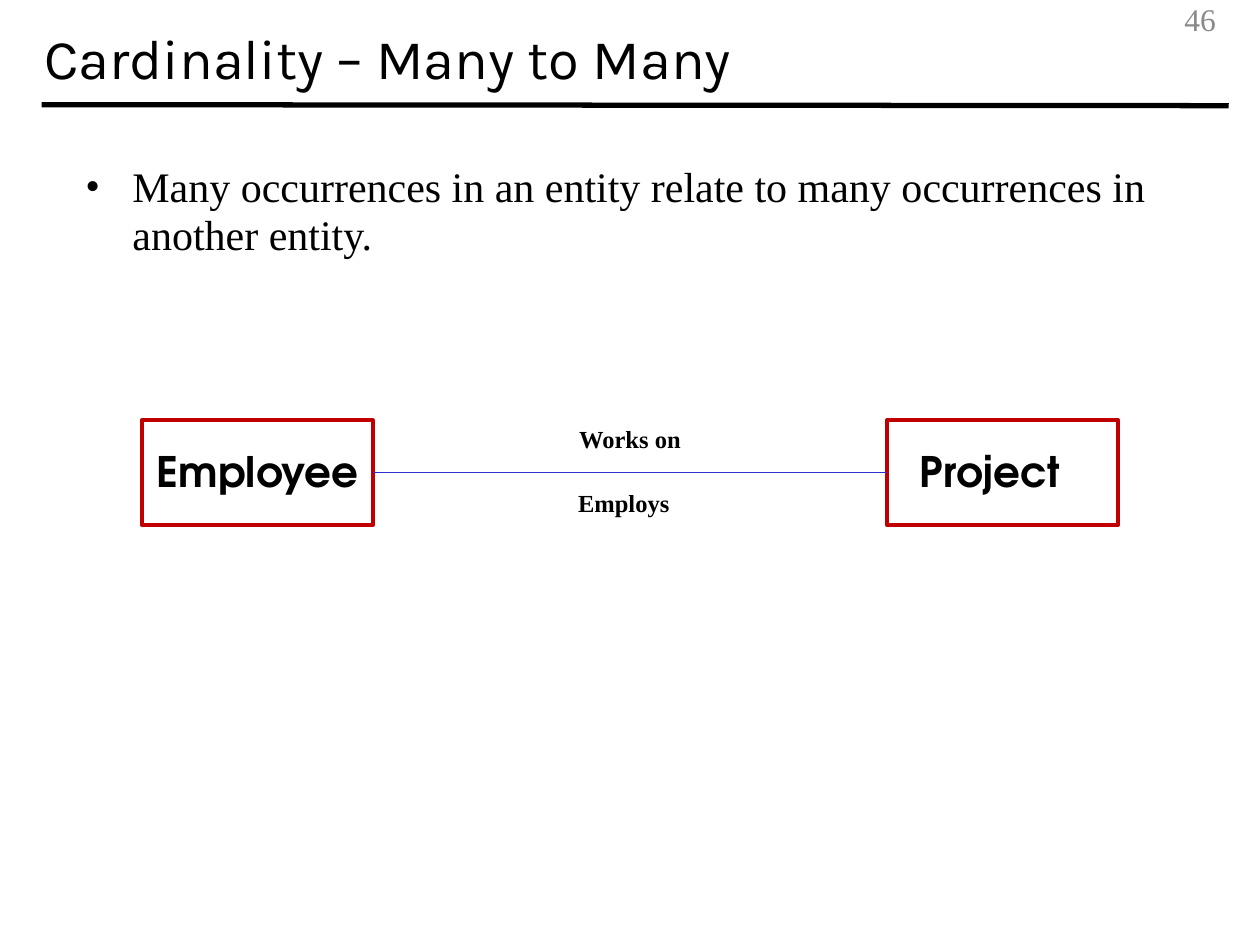
from dataclasses import dataclass

from lxml import etree
from pptx import Presentation
from pptx.dml.color import RGBColor
from pptx.enum.shapes import MSO_CONNECTOR, MSO_SHAPE
from pptx.enum.text import MSO_ANCHOR, PP_ALIGN
from pptx.oxml.ns import qn
from pptx.util import Cm, Pt

LEFT, CENTER, RIGHT = PP_ALIGN.LEFT, PP_ALIGN.CENTER, PP_ALIGN.RIGHT
TOP, MIDDLE = MSO_ANCHOR.TOP, MSO_ANCHOR.MIDDLE
STRAIGHT, RECTANGLE = MSO_CONNECTOR.STRAIGHT, MSO_SHAPE.RECTANGLE
SIDE_LEFT, SIDE_RIGHT = 1, 3


@dataclass(frozen=True)
class Theme:
    ink: str = "000000"
    paper: str = "FFFFFF"
    muted: str = "898989"
    entity_border: str = "C00000"
    relation: str = "2E2ECB"
    title_font: str = "Karla"
    body_font: str = "Times New Roman"
    entity_font: str = "TeX Gyre Adventor"
    title_size: int = 32
    body_size: int = 24
    number_size: int = 18
    label_size: int = 14


def add_bullet(paragraph, color, font, indent):
    props = paragraph._p.get_or_add_pPr()
    props.set("marL", str(indent))
    props.set("indent", str(-indent))
    bullet_color = etree.SubElement(props, qn("a:buClr"))
    etree.SubElement(bullet_color, qn("a:srgbClr"), val=color)
    etree.SubElement(props, qn("a:buFont"), typeface=font)
    etree.SubElement(props, qn("a:buChar"), char="•")


def write(shape, text, *, size, font, color, bold=False, align=LEFT,
          anchor=TOP, spacing=0.95, right_pad=0.25, bullet_indent=None):
    frame = shape.text_frame
    frame.word_wrap = True
    frame.vertical_anchor = anchor
    frame.margin_left, frame.margin_right = Cm(0.25), Cm(right_pad)
    frame.margin_top = frame.margin_bottom = Cm(0.13)
    paragraph = frame.paragraphs[0]
    if bullet_indent is not None:
        add_bullet(paragraph, color, font, Cm(bullet_indent))
    paragraph.alignment = align
    paragraph.line_spacing = spacing
    run = paragraph.add_run()
    run.text = text
    run.font.size, run.font.name, run.font.bold = Pt(size), font, bold
    run.font.color.rgb = RGBColor.from_string(color)


class SlideBuilder:
    def __init__(self, slide, theme):
        self.slide = slide
        self.theme = theme

    def text(self, text, left, top, width, height, **style):
        box = self.slide.shapes.add_textbox(
            Cm(left), Cm(top), Cm(width), Cm(height))
        base = {"font": self.theme.body_font, "color": self.theme.ink}
        write(box, text, **(base | style))

    def entity(self, name, left, top, width, height, **style):
        box = self.slide.shapes.add_shape(
            RECTANGLE, Cm(left), Cm(top), Cm(width), Cm(height))
        box.shadow.inherit = False
        box.fill.solid()
        box.fill.fore_color.rgb = RGBColor.from_string(self.theme.paper)
        box.line.color.rgb = RGBColor.from_string(self.theme.entity_border)
        box.line.width = Pt(2)
        write(box, name, size=self.theme.body_size, bold=True,
              font=self.theme.entity_font, color=self.theme.ink,
              align=CENTER, anchor=MIDDLE, **style)
        return box

    def line(self, start, end, color, weight):
        line = self.slide.shapes.add_connector(
            STRAIGHT, *(Cm(value) for value in (*start, *end)))
        line.line.color.rgb = RGBColor.from_string(color)
        line.line.width = Pt(weight)
        etree.SubElement(line._element.spPr, qn("a:effectLst"))
        return line

    def relation(self, source, target):
        line = self.line((0, 0), (1, 1), self.theme.relation, 0.75)
        line.begin_connect(source, SIDE_RIGHT)
        line.end_connect(target, SIDE_LEFT)


def main():
    deck = Presentation()
    deck.slide_width, deck.slide_height = Cm(25.4), Cm(19.05)
    theme = Theme()
    page = SlideBuilder(deck.slides.add_slide(deck.slide_layouts[6]), theme)

    page.line((0.84, 2.11), (24.77, 2.13), theme.ink, 3)
    page.text("Cardinality – Many to Many", 0.64, 0, 24.13, 2.31,
              size=theme.title_size, font=theme.title_font,
              anchor=MIDDLE, spacing=1.01)
    page.text("Many occurrences in an entity relate to many occurrences in "
              "another entity.", 1.47, 3.18, 22.43, 14.81,
              size=theme.body_size, bullet_indent=0.95)
    page.text("46", 19.48, 0, 5.28, 0.84, size=theme.number_size,
              color=theme.muted, align=RIGHT, anchor=MIDDLE)

    entity_top, entity_width, entity_height = 8.47, 4.66, 2.12
    employee = page.entity("Employee", 2.86, entity_top,
                           entity_width, entity_height)
    project = page.entity("Project", 17.88, entity_top,
                          entity_width, entity_height, right_pad=0.75)
    page.relation(employee, project)

    for label, top, right_pad in (("Works on", entity_top, 0.25),
                                  ("Employs", 9.76, 0.5)):
        page.text(label, 7.72, top, 9.96, 0.81, size=theme.label_size,
                  bold=True, align=CENTER, right_pad=right_pad)

    deck.save("out.pptx")


if __name__ == "__main__":
    main()
